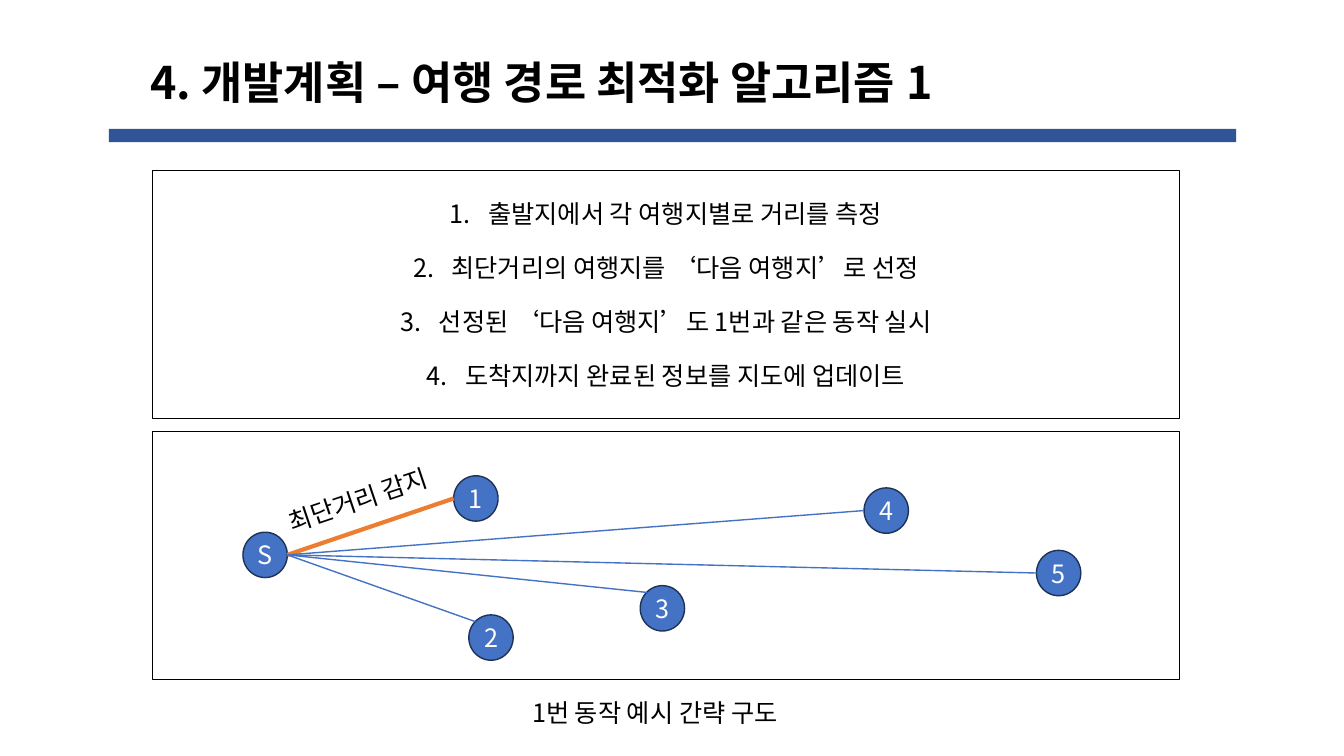
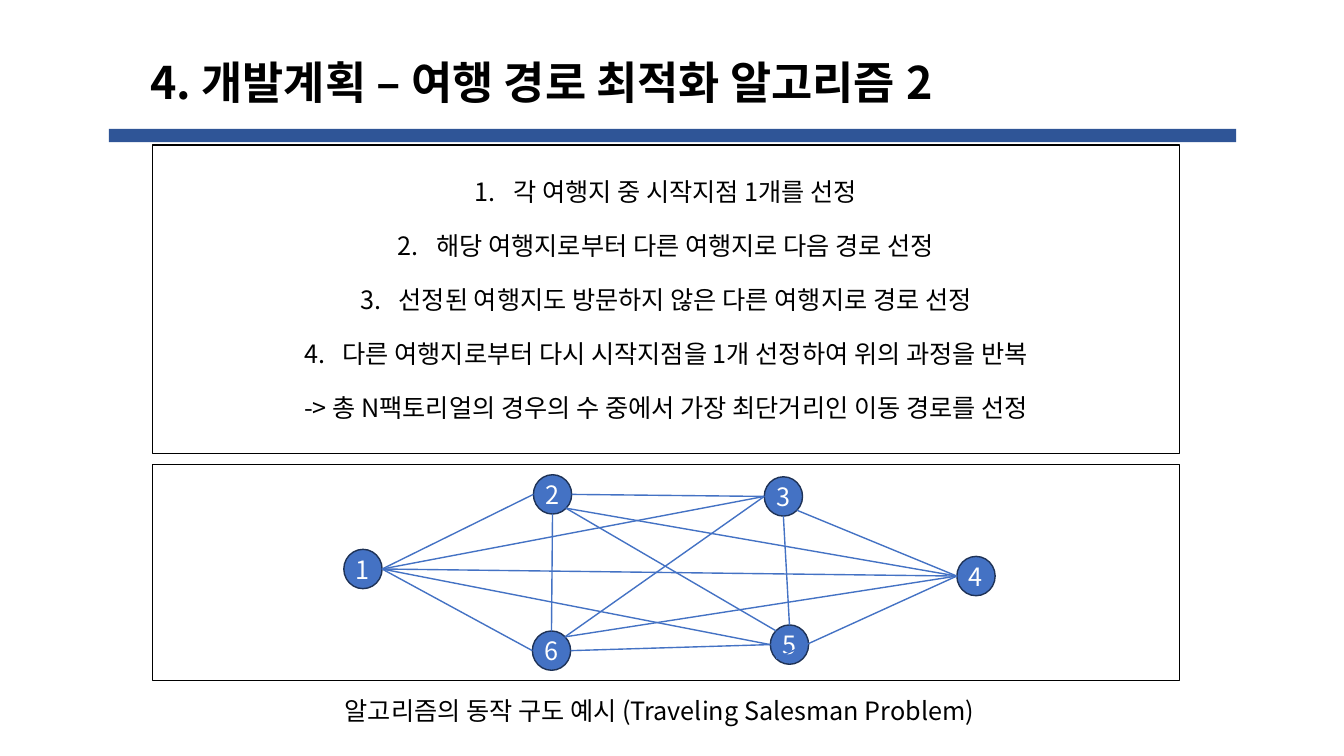
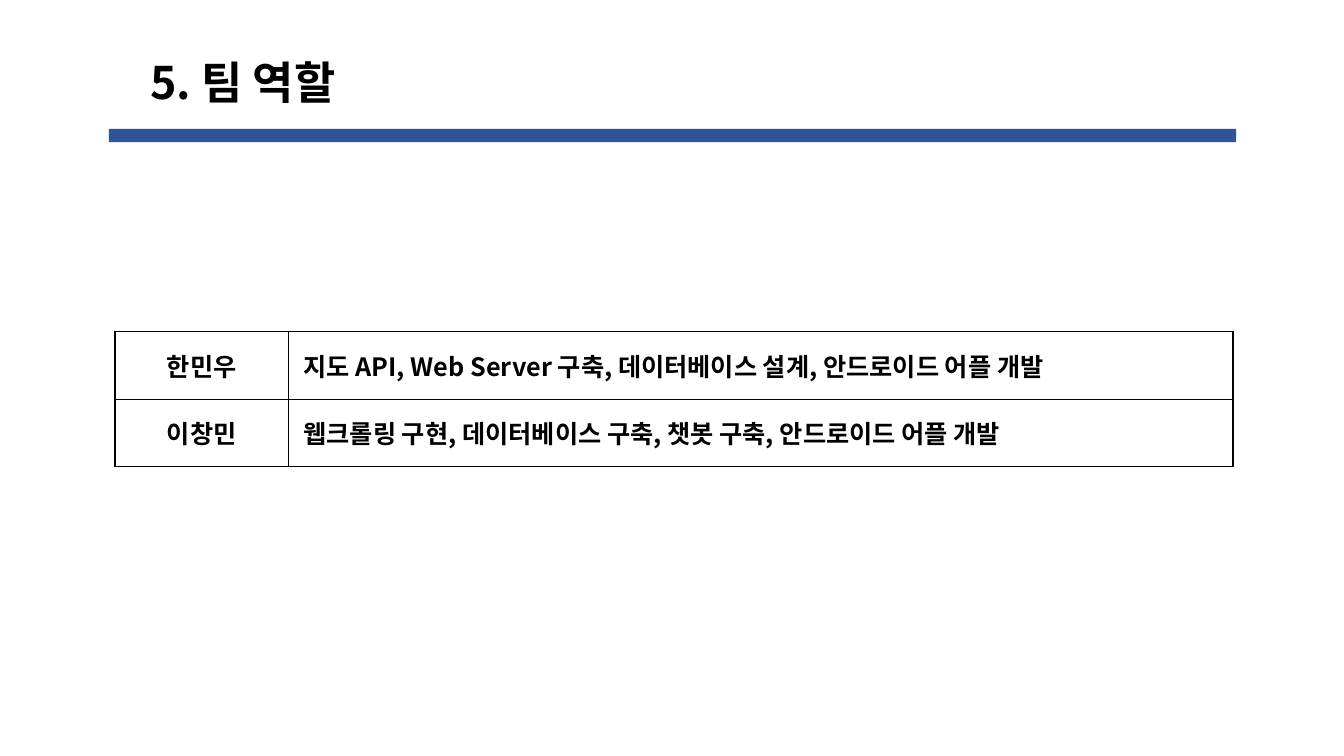
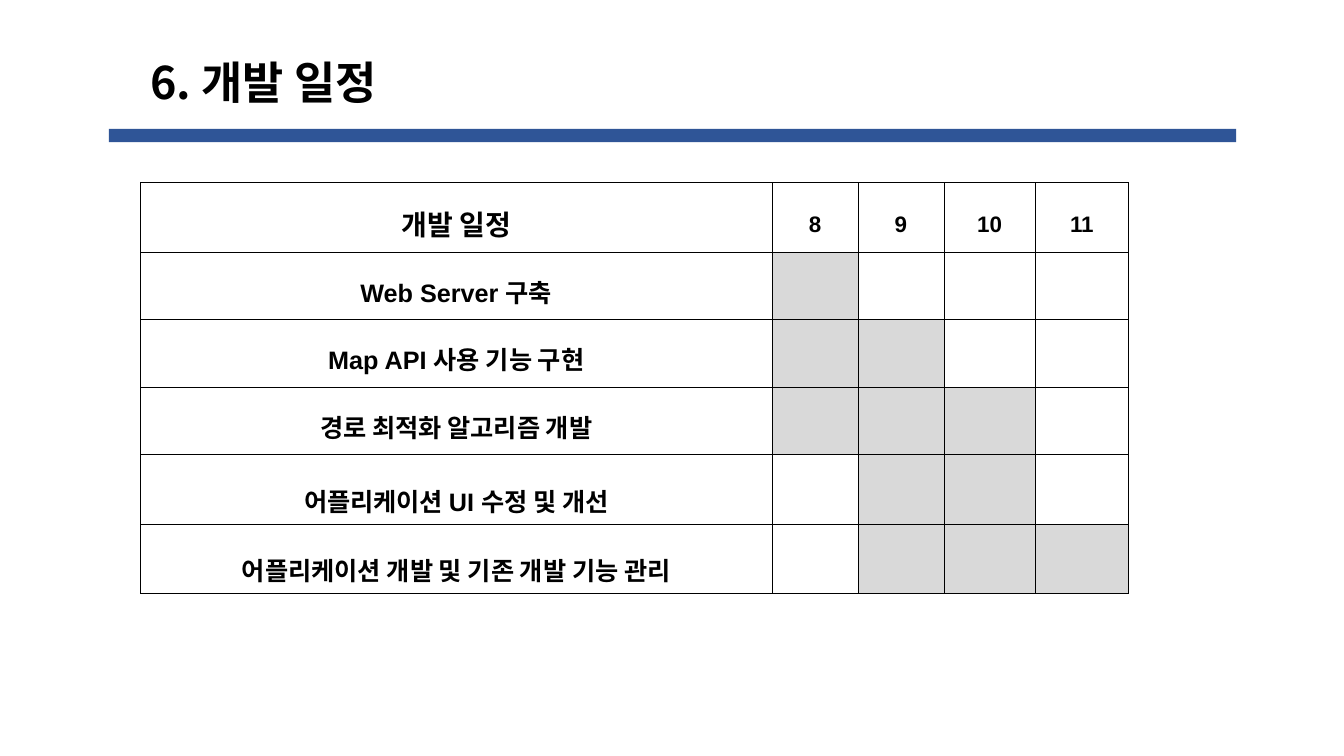
from lxml.etree import SubElement
from pptx import Presentation
from pptx.dml.color import RGBColor as RGB
from pptx.enum.shapes import MSO_CONNECTOR as LINE, MSO_SHAPE as SHAPE
from pptx.enum.text import MSO_ANCHOR as ANCHOR, MSO_AUTO_SIZE as AUTO, PP_ALIGN as ALIGN
from pptx.oxml.ns import qn
from pptx.util import Pt

PX = 9144  # 100 px to the inch
FONT = "Noto Sans CJK KR"
COL = {"band": "2F5597", "text": "000000", "white": "FFFFFF", "node": "4472C4",
       "rim": "1E3256", "best": "ED7D31", "done": "D9D9D9"}

# Content: nodes are name: (left, top), edges are (from, side, to, side)
ROUTES = [
    {"title": ("4. 개발계획 – 여행 경로 최적화 알고리즘 1", 890),
     "steps": ["출발지에서 각 여행지별로 거리를 측정",
               "최단거리의 여행지를 ‘다음 여행지’로 선정",
               "선정된 ‘다음 여행지’도 1번과 같은 동작 실시",
               "도착지까지 완료된 정보를 지도에 업데이트"],
     "list": (151, 169, 1019, 246),
     "frame": (151, 428, 1019, 246),
     "group": False,
     "size": (44, 45),
     "nodes": {"S": (241, 528), "1": (450, 472), "2": (465, 610),
               "3": (635, 581), "4": (857, 484), "5": (1028, 546)},
     "best": [("S", "R", "1", "L")],
     "edges": [("S", "R", "2", "TL"), ("S", "R", "3", "TL"),
               ("S", "R", "4", "L"), ("S", "R", "5", "L")],
     "notes": [("최단거리 감지", (273, 473, 181, 40), -18.6),
               ("1번 동작 예시 간략 구도", (518, 687, 297, 40), 0)]},
    {"title": ("4. 개발계획 – 여행 경로 최적화 알고리즘 2", 890),
     "steps": ["각 여행지 중 시작지점 1개를 선정",
               "해당 여행지로부터 다른 여행지로 다음 경로 선정",
               "선정된 여행지도 방문하지 않은 다른 여행지로 경로 선정",
               "다른 여행지로부터 다시 시작지점을 1개 선정하여 위의 과정을 반복",
               "-> 총 N팩토리얼의 경우의 수 중에서 가장 최단거리인 이동 경로를 선정"],
     "list": (151, 144, 1019, 306),
     "frame": (151, 461, 1019, 214),
     "group": True,
     "size": (38, 39),
     "nodes": {"1": (341, 545), "2": (529, 471), "3": (758, 473),
               "4": (949, 552), "5": (764, 620), "6": (528, 626)},
     "best": [],
     "edges": [("1", "R", "2", "L"), ("1", "R", "3", "L"), ("1", "R", "4", "L"),
               ("1", "R", "5", "L"), ("1", "R", "6", "L"), ("2", "R", "3", "L"),
               ("2", "BR", "4", "L"), ("2", "BR", "5", "TL"), ("6", "T", "2", "B"),
               ("3", "BR", "4", "L"), ("3", "B", "5", "T"), ("3", "L", "6", "TR"),
               ("5", "BL", "4", "L"), ("6", "R", "5", "L"), ("6", "TR", "4", "L")],
     "notes": [("알고리즘의 동작 구도 예시 (Traveling Salesman Problem)",
                (332, 685, 670, 40), 0)]},
]
ROLES = [("한민우", "지도 API, Web Server 구축, 데이터베이스 설계, 안드로이드 어플 개발"),
         ("이창민", "웹크롤링 구현, 데이터베이스 구축, 챗봇 구축, 안드로이드 어플 개발")]
MONTHS = [8, 9, 10, 11]
TASKS = [("Web Server 구축", 8, 8, 1.3),  # name, first month, last month, line spacing
         ("Map API 사용 기능 구현", 8, 9, 1.3),
         ("경로 최적화 알고리즘 개발", 8, 10, 1.3),
         ("어플리케이션 UI 수정 및 개선", 9, 10, 1.6),
         ("어플리케이션 개발 및 기존 개발 기능 관리", 9, 11, 1.6)]

# Places on a circle, as shares of its box
SITES = {"L": (0, .5), "R": (1, .5), "T": (.5, 0), "B": (.5, 1),
         "TL": (.15, .15), "TR": (.85, .15), "BL": (.15, .85), "BR": (.85, .85)}


def emu(vals):
    return [round(v * PX) for v in vals]


def rgb(key):
    return RGB.from_string(COL[key])


def place(shape, box):
    shape.left, shape.top, shape.width, shape.height = emu(box)


def style(para, size=18, color="text", bold=False, align=ALIGN.LEFT, face=FONT):
    para.alignment = align
    font = para.font
    font.size, font.bold = Pt(size), bold
    font.color.rgb = rgb(color)
    font.name = face
    SubElement(para._p.pPr.find(qn("a:defRPr")), qn("a:ea"), typeface=FONT)


def hang(para, left):
    props = para._p.get_or_add_pPr()
    props.set("marL", str(left * PX))
    props.set("indent", str(-left * PX))
    return props


def add_box(shapes, kind, box, fill=None, line=None):
    shape = shapes.add_shape(kind, *emu(box))
    shape.shadow.inherit = False
    if fill:
        shape.fill.solid()
        shape.fill.fore_color.rgb = rgb(fill)
    else:
        shape.fill.background()
    if line:
        shape.line.color.rgb = rgb(line)
        shape.line.width = Pt(1)
    else:
        shape.line.fill.background()
    return shape


def new_slide(deck, layout, text, width):
    slide = deck.slides.add_slide(deck.slide_layouts[layout])
    title = slide.shapes.title
    place(title, (139, 49, width, 64))
    frame = title.text_frame
    frame.text = text
    frame.auto_size = AUTO.NONE
    frame.vertical_anchor = ANCHOR.MIDDLE
    style(frame.paragraphs[0], 32, bold=True)
    return slide


def add_steps(body, steps, box):
    place(body, box)
    body.line.color.rgb = rgb("text")
    body.line.width = Pt(1)
    frame = body.text_frame
    frame.text = "\n".join(steps)
    frame.auto_size = AUTO.NONE
    frame.vertical_anchor = ANCHOR.MIDDLE
    for i, para in enumerate(frame.paragraphs):
        if para.text.startswith("->"):
            SubElement(hang(para, 0), qn("a:buNone"))
        else:
            SubElement(hang(para, 38), qn("a:buAutoNum"), type="arabicPeriod")
        para.space_before = Pt(17 if i else 0)
        style(para, align=ALIGN.CENTER)


def add_edge(shapes, ends, color, width):
    line = shapes.add_connector(LINE.STRAIGHT, *emu(ends))
    line.line.color.rgb = rgb(color)
    line.line.width = Pt(width)
    SubElement(line.element.spPr, qn("a:effectLst"))


def add_net(shapes, route):
    w, h = route["size"]
    nodes = route["nodes"]

    def spot(name, side):
        (x, y), (dx, dy) = nodes[name], SITES[side]
        return x + dx * w, y + dy * h

    for name, (x, y) in nodes.items():
        frame = add_box(shapes, SHAPE.OVAL, (x, y, w, h), "node", "rim").text_frame
        frame.margin_left = frame.margin_right = 0
        frame.margin_top = frame.margin_bottom = 0
        frame.word_wrap = False
        frame.vertical_anchor = ANCHOR.MIDDLE
        frame.text = name
        style(frame.paragraphs[0], color="white", align=ALIGN.CENTER)
    for key, color, width in (("best", "best", 3), ("edges", "node", 1)):
        for a, out, b, into in route[key]:
            add_edge(shapes, spot(a, out) + spot(b, into), color, width)


def add_note(shapes, text, box, turn):
    note = shapes.add_textbox(*emu(box))
    note.rotation = turn
    frame = note.text_frame
    frame.word_wrap = False
    frame.text = text
    style(frame.paragraphs[0])


def add_grid(slide, left, top, cols, rows, line):
    box = emu((left, top, sum(cols), sum(rows)))
    table = slide.shapes.add_table(len(rows), len(cols), *box).table
    table.first_row = table.horz_banding = False
    for part, size in zip(table.columns, cols):
        part.width = size * PX
    for part, size in zip(table.rows, rows):
        part.height = size * PX
    for cell in table.iter_cells():
        cell.vertical_anchor = ANCHOR.MIDDLE
        props = cell._tc.get_or_add_tcPr()
        for side in ("lnL", "lnR", "lnT", "lnB"):
            edge = SubElement(props, qn("a:" + side), w=str(Pt(line)))
            fill = SubElement(edge, qn("a:solidFill"))
            SubElement(fill, qn("a:srgbClr"), val=COL["text"])
        cell.fill.background()
    return table


def write(cell, text, **look):
    cell.text = text
    para = cell.text_frame.paragraphs[0]
    style(para, bold=True, **look)
    return para


def main():
    deck = Presentation()
    deck.slide_width, deck.slide_height = emu((1333, 750))

    # Route slides
    for route in ROUTES:
        slide = new_slide(deck, 1, *route["title"])
        shapes = slide.shapes
        add_steps(slide.placeholders[1], route["steps"], route["list"])
        add_box(shapes, SHAPE.RECTANGLE, route["frame"], line="text")
        add_net(shapes.add_group_shape().shapes if route["group"] else shapes, route)
        for note in route["notes"]:
            add_note(shapes, *note)

    # Team roles
    slide = new_slide(deck, 5, "5. 팀 역할", 224)
    table = add_grid(slide, 114, 329, [172, 937], [67, 67], 1)
    for r, (name, duty) in enumerate(ROLES):
        write(table.cell(r, 0), name, align=ALIGN.CENTER)
        write(table.cell(r, 1), duty)
        table.cell(r, 1).margin_left = 15 * PX

    # Schedule
    slide = new_slide(deck, 5, "6. 개발 일정", 269)
    table = add_grid(slide, 139, 181, [627, 85, 85, 91, 92],
                     [69, 67, 67, 67, 69, 69], 0.28)
    for cell in table.iter_cells():
        cell.margin_left = cell.margin_right = 7 * PX
        cell.margin_top = cell.margin_bottom = 2 * PX
    look = {"align": ALIGN.CENTER, "face": "Arial"}
    head = write(table.cell(0, 0), "개발 일정", size=20, **look)
    hang(head, 25)
    head.line_spacing = 1.3
    for c, month in enumerate(MONTHS, 1):
        write(table.cell(0, c), str(month), size=16, **look).line_spacing = 1.6
    for r, (task, first, last, gap) in enumerate(TASKS, 1):
        para = write(table.cell(r, 0), task, **look)
        para.line_spacing = gap
        if gap == 1.3:
            hang(para, 25)
        for c, month in enumerate(MONTHS, 1):
            if first <= month <= last:
                fill = table.cell(r, c).fill
                fill.solid()
                fill.fore_color.rgb = rgb("done")

    # Band under every title, kept on the master
    band = add_box(slide.shapes, SHAPE.RECTANGLE, (108, 128, 1118, 13), "band")
    deck.slide_master.shapes.element.append(band.element)

    deck.save("out.pptx")


if __name__ == "__main__":
    main()
